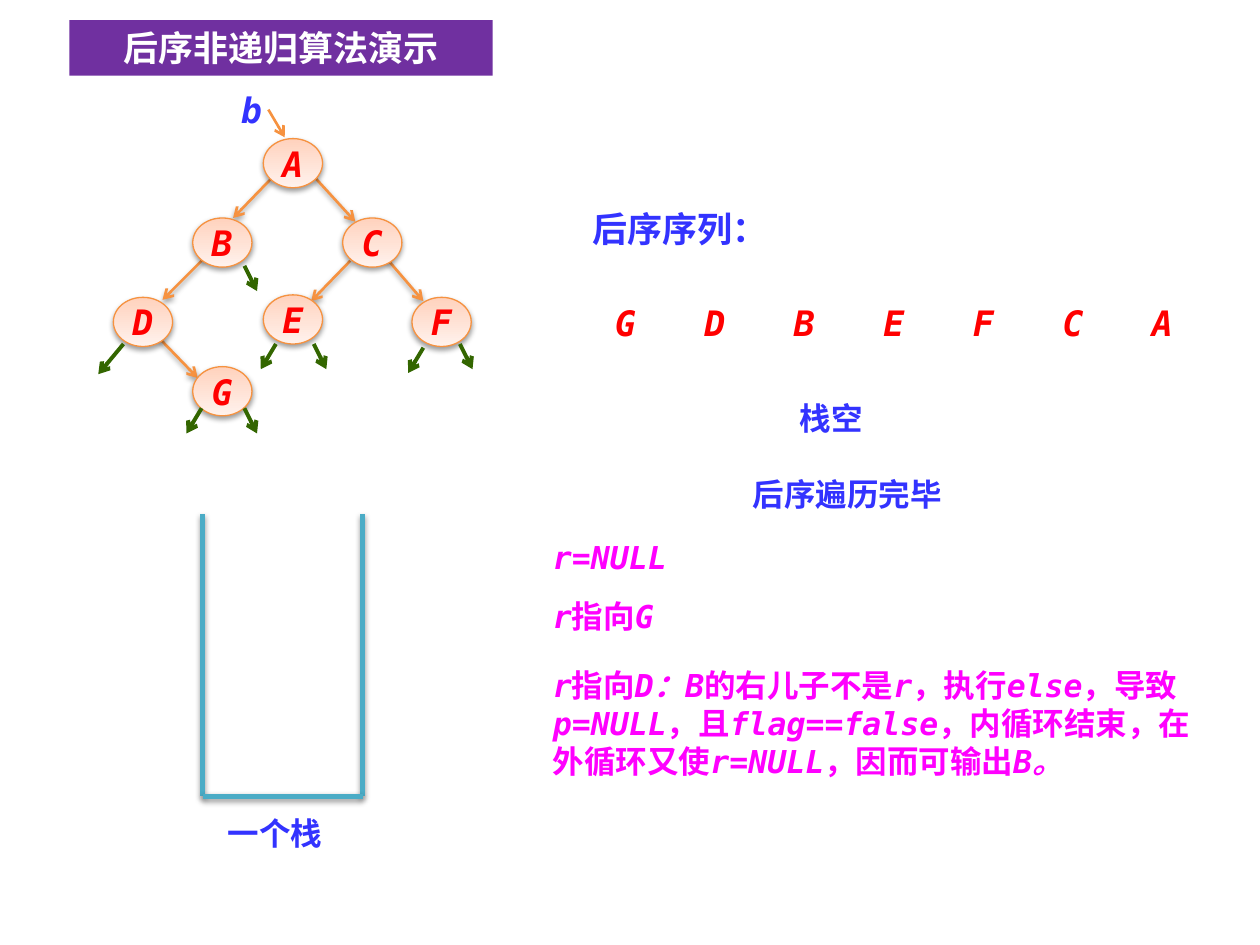
import pptx
import pptx.dml.color
import pptx.enum.dml
import pptx.enum.shapes
import pptx.enum.text
import pptx.oxml
import pptx.oxml.ns
import pptx.util

MONO, CJK = "DejaVu Sans Mono", "Noto Sans CJK SC"
NS = pptx.oxml.ns.nsdecls("a")
ORANGE, GREEN, TEAL = "F69240", "336600", "4BACC6"
BLUE, RED, MAGENTA, PURPLE, WHITE = "3333FF", "FF0000", "FF00FF", "7030A0", "FFFFFF"
CENTER = pptx.enum.text.PP_ALIGN.CENTER
NODE_W, NODE_H = 0.47, 0.39
NODES = {
    "A": (2.09, 1.1), "B": (1.53, 1.73), "C": (2.72, 1.73), "D": (0.9, 2.36),
    "E": (2.09, 2.34), "F": (3.27, 2.36), "G": (1.53, 2.91),
}
EDGES = [
    (1.26, 2.68, 1.57, 3), (2.16, 1.41, 1.85, 1.73), (2.5, 1.41, 2.82, 1.76),
    (1.64, 2.03, 1.29, 2.38), (2.78, 2.07, 2.47, 2.39), (3.05, 2.03, 3.36, 2.39),
]
NULL_LEFT = [(1.6, 3.24), (2.19, 2.73), (3.36, 2.76)]
NULL_RIGHT = [(1.94, 3.24), (2.49, 2.73), (3.65, 2.73), (1.94, 2.11)]
NOTES = [
    (4.22, 0.4, ["r=NULL"]),
    (4.69, 0.4, ["r", "指向", "G"]),
    (5.24, 1.01, ["r", "指向", "D：B", "的右儿子不是", "r", "，执行", "else", "，导致",
                  "p=NULL", "，且", "flag==false", "，内循环结束，在外循环又使",
                  "r=NULL", "，因而可输出", "B。"]),
]


def rgb(value):
    """Return the colour for a hex string."""
    return pptx.dml.color.RGBColor.from_string(value)


def inches(*values):
    """Convert lengths in inches."""
    return [pptx.util.Inches(v) for v in values]


def set_effect(shape, shadow):
    """Give a shape a soft shadow below it, or no effect at all."""
    xml = (f'<a:outerShdw {NS} blurRad="39370" dist="20320" dir="5400000" rotWithShape="0">'
           '<a:srgbClr val="000000"><a:alpha val="38000"/></a:srgbClr></a:outerShdw>')
    effects = pptx.oxml.parse_xml(f"<a:effectLst {NS}/>")
    if shadow:
        effects.append(pptx.oxml.parse_xml(xml))
    shape._element.spPr.append(effects)


def add_run(p, text, color, size, font=MONO, italic=False):
    """Append one bold run with Latin and East Asian fonts."""
    r = p.add_run()
    r.text = text
    r.font.size, r.font.name = pptx.util.Pt(size), font
    r.font.bold, r.font.italic = True, italic
    r.font.color.rgb = rgb(color)
    r.font._element.find(pptx.oxml.ns.qn("a:latin")).addnext(
        pptx.oxml.parse_xml(f'<a:ea {NS} typeface="{CJK}"/>'))


def add_label(s, box, text, color, size, font=MONO, italic=False, align=None, inset=True):
    """Add a one-run text box."""
    tf = s.shapes.add_textbox(*inches(*box)).text_frame
    tf.word_wrap = True
    if not inset:
        tf.margin_left = tf.margin_right = tf.margin_top = tf.margin_bottom = 0
    tf.paragraphs[0].alignment = align
    add_run(tf.paragraphs[0], text, color, size, font, italic)


def add_note(s, top, height, parts):
    """Add a remark whose code parts alternate with upright prose."""
    tf = s.shapes.add_textbox(*inches(4.29, top, 5.39, height)).text_frame
    tf.word_wrap = True
    for i, part in enumerate(parts):
        add_run(tf.paragraphs[0], part, MAGENTA, 18, italic=i % 2 == 0)


def add_line(s, ends, color, width, arrow=True, shadow=False):
    """Add a straight line, with an arrowhead at its end if wanted."""
    line = s.shapes.add_connector(pptx.enum.shapes.MSO_CONNECTOR.STRAIGHT, *inches(*ends))
    line.line.color.rgb, line.line.width = rgb(color), pptx.util.Pt(width)
    if arrow:
        line.line._get_or_add_ln().append(
            pptx.oxml.parse_xml(f'<a:tailEnd {NS} type="arrow"/>'))
    set_effect(line, shadow)


def add_node(s, name, left, top):
    """Add a shaded tree node."""
    sp = s.shapes.add_shape(pptx.enum.shapes.MSO_SHAPE.OVAL,
                            *inches(left, top, NODE_W, NODE_H))
    sp.fill.gradient()
    sp.fill.gradient_angle = 90
    for stop, color in zip(sp.fill.gradient_stops, ("FFF2ED", "FFD2BD")):
        stop.color.rgb = rgb(color)
    sp.fill.gradient_stops[0].position, sp.fill.gradient_stops[1].position = 0, 1
    sp.line.color.rgb, sp.line.width = rgb(ORANGE), pptx.util.Pt(0.75)
    set_effect(sp, True)
    tf = sp.text_frame
    tf.word_wrap = False
    tf.vertical_anchor = pptx.enum.text.MSO_ANCHOR.MIDDLE
    tf.paragraphs[0].alignment = CENTER
    add_run(tf.paragraphs[0], name, RED, 20, italic=True)


def set_title(s, text):
    """Place and colour the title bar."""
    sp = s.shapes.title
    sp.left, sp.top, sp.width, sp.height = inches(0.55, 0.16, 3.36, 0.44)
    sp.fill.solid()
    sp.fill.fore_color.rgb = rgb(PURPLE)
    sp.text_frame.auto_size = pptx.enum.text.MSO_AUTO_SIZE.NONE
    sp.text_frame.paragraphs[0].alignment = CENTER
    add_run(sp.text_frame.paragraphs[0], text, WHITE, 20, CJK)


def add_tree(s):
    """Draw the binary tree with its null links and root pointer."""
    for ends in EDGES:
        add_line(s, ends, ORANGE, 1.5, shadow=True)
    for name, at in NODES.items():
        add_node(s, name, *at)
    for starts, dx in ((NULL_LEFT, -0.12), (NULL_RIGHT, 0.1)):
        for x, y in starts:
            add_line(s, (x, y, x + dx, y + 0.2), GREEN, 2.25)
    add_line(s, (0.98, 2.73, 0.78, 2.97), GREEN, 2.25)
    add_line(s, (2.13, 0.87, 2.26, 1.09), ORANGE, 1.5)
    add_label(s, (1.8, 0.7, 0.39, 0.34), "b", BLUE, 20, italic=True, align=CENTER, inset=False)


def add_stack(s):
    """Draw the open-topped stack and its caption."""
    left, right, top, bottom = 1.61, 2.88, 4.08, 6.32
    for ends in ((left, top, left, bottom), (right, top, right, bottom),
                 (left, bottom, right, bottom)):
        add_line(s, ends, TEAL, 3, arrow=False, shadow=True)
    add_label(s, (1.71, 6.41, 1.26, 0.4), "一个栈", BLUE, 18, CJK)


def main():
    """Build the slide and save it."""
    prs = pptx.Presentation()
    prs.slide_width, prs.slide_height = inches(10, 7.5)
    s = prs.slides.add_slide(prs.slide_layouts[5])
    set_title(s, "后序非递归算法演示")
    add_tree(s)
    add_stack(s)
    add_label(s, (4.6, 1.6, 1.89, 0.44), "后序序列：", BLUE, 20)
    for i, name in enumerate("GDBEFCA"):
        add_label(s, (4.73 + 0.71 * i, 2.39, 0.47, 0.34), name, RED, 20,
                  italic=True, align=CENTER, inset=False)
    add_label(s, (6.25, 3.12, 1.02, 0.4), "栈空", BLUE, 18, CJK)
    add_label(s, (5.23, 3.72, 2.99, 0.4), "后序遍历完毕", BLUE, 18, CJK, align=CENTER)
    for note in NOTES:
        add_note(s, *note)
    prs.save("out.pptx")


if __name__ == "__main__":
    main()
